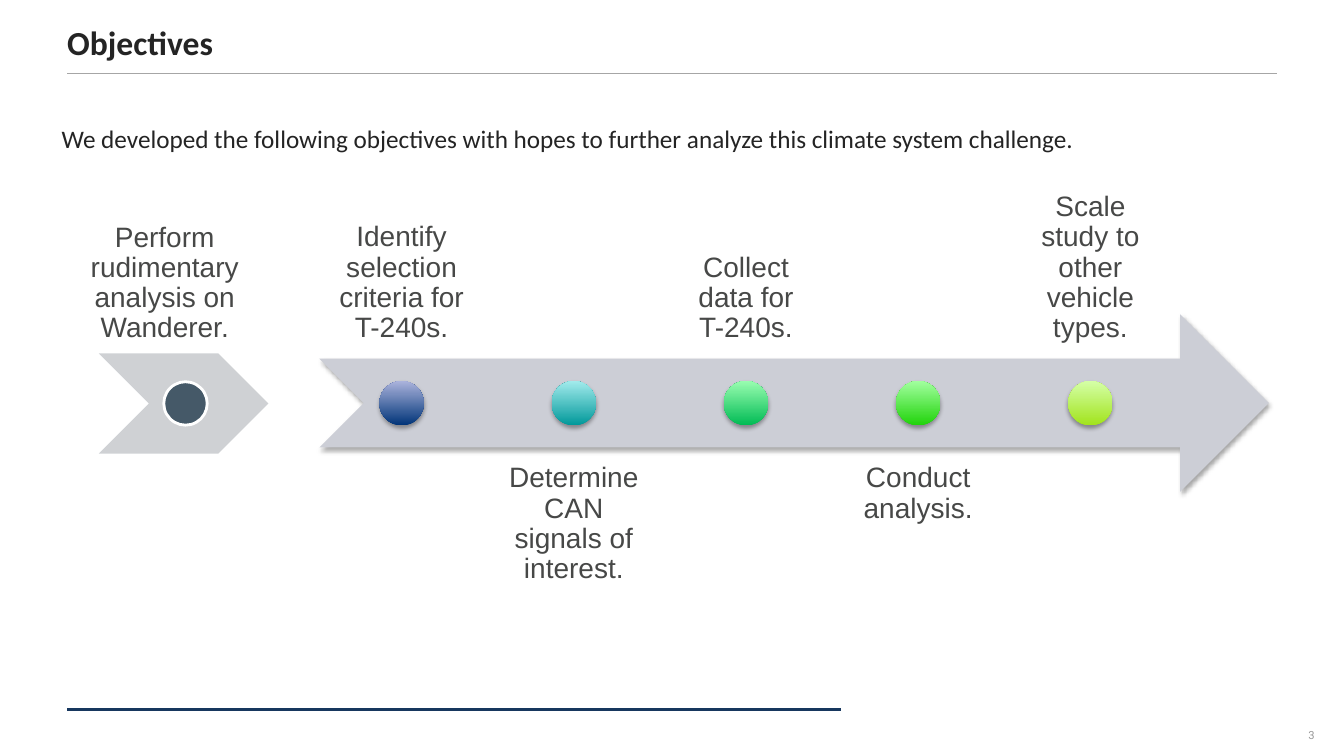
from dataclasses import dataclass

from lxml import etree
from pptx import Presentation
from pptx.dml.color import RGBColor
from pptx.enum.shapes import MSO_CONNECTOR, MSO_SHAPE
from pptx.enum.text import MSO_ANCHOR, PP_ALIGN
from pptx.oxml import parse_xml
from pptx.oxml.ns import nsdecls, qn
from pptx.util import Pt

STRAIGHT = MSO_CONNECTOR.STRAIGHT
ARROW = MSO_SHAPE.NOTCHED_RIGHT_ARROW
CHEVRON = MSO_SHAPE.CHEVRON
OVAL = MSO_SHAPE.OVAL
TOP, MIDDLE, BOTTOM = MSO_ANCHOR.TOP, MSO_ANCHOR.MIDDLE, MSO_ANCHOR.BOTTOM
LEFT, CENTER = PP_ALIGN.LEFT, PP_ALIGN.CENTER


@dataclass(frozen=True)
class TextStyle:
    font: str
    size: float
    color: str
    bold: bool = False


@dataclass(frozen=True)
class Theme:
    title = TextStyle("Calibri", 24, "242424", True)
    body = TextStyle("Calibri", 18, "242424")
    label = TextStyle("Arial", 20, "474847")
    number = TextStyle("Roboto", 8, "999999")
    title_rule = "A6A6A6"
    footer_rule = "17375E"
    arrow = "CCCED6"
    chevron = "CFD1D4"
    first_dot = "455968"
    first_dot_edge = "FFFFFF"
    shadow = "000000"


class SlideBuilder:
    def __init__(self, slide, theme):
        self.slide = slide
        self.theme = theme

    def rule(self, left, right, y, color, width):
        line = self.slide.shapes.add_connector(STRAIGHT, Pt(left), Pt(y), Pt(right), Pt(y))
        line.line.color.rgb = RGBColor.from_string(color)
        line.line.width = Pt(width)
        etree.SubElement(line._element.spPr, qn("a:effectLst"))

    def text(self, words, box, style, anchor=TOP, align=LEFT, insets=(0, 3.6, 7.2, 3.6),
             line_spacing=1.0, space_after=0):
        text_box = self.slide.shapes.add_textbox(*map(Pt, box))
        frame = text_box.text_frame
        frame.word_wrap = True
        frame.vertical_anchor = anchor
        frame.margin_left, frame.margin_top, frame.margin_right, frame.margin_bottom = map(Pt, insets)
        paragraph = frame.paragraphs[0]
        paragraph.text = words
        paragraph.alignment = align
        paragraph.line_spacing = line_spacing
        paragraph.space_after = Pt(space_after)
        font = paragraph.font
        font.name = style.font
        font.size = Pt(style.size)
        font.bold = style.bold
        font.color.rgb = RGBColor.from_string(style.color)

    def label(self, words, box, anchor):
        self.text(words, box, self.theme.label, anchor, CENTER, (11.5,) * 4, 0.9, 7)

    def shape(self, kind, box, colors, edge=None, shadow=False):
        shape = self.slide.shapes.add_shape(kind, *map(Pt, box))
        shape.shadow.inherit = False
        if len(colors) == 1:
            shape.fill.solid()
            shape.fill.fore_color.rgb = RGBColor.from_string(colors[0])
        else:
            shape.fill.gradient()
            shape.fill.gradient_angle = 90
            for stop, color in zip(shape.fill.gradient_stops, colors):
                stop.color.rgb = RGBColor.from_string(color)
        if edge:
            shape.line.color.rgb = RGBColor.from_string(edge)
            shape.line.width = Pt(2)
        else:
            shape.line.fill.background()
        if shadow:
            self.add_shadow(shape)

    def add_shadow(self, shape):
        effects = shape._element.spPr.find(qn("a:effectLst"))
        effects.append(parse_xml(
            f'<a:outerShdw {nsdecls("a")} blurRad="{Pt(3.1)}" dist="{Pt(1.8)}" '
            f'dir="5400000" rotWithShape="0"><a:srgbClr val="{self.theme.shadow}">'
            '<a:alpha val="35000"/></a:srgbClr></a:outerShdw>'))


MILESTONES = [
    ("Identify selection criteria for T-240s.", ("003478", "ABB3DC")),
    ("Determine CAN signals of interest.", ("00989A", "A2EBEC")),
    ("Collect data for T-240s.", ("00BB54", "99FDB0")),
    ("Conduct analysis.", ("20D30A", "A2FF9F")),
    ("Scale study to other vehicle types.", ("A1E31C", "D5FFA7")),
]
TIMELINE_LEFT = 228.2
MILESTONE_PITCH = 123
LABEL_WIDTH = 117.4
BAND_HEIGHT = 126.7
DOT_SIZE = 31.7


def main():
    presentation = Presentation()
    presentation.slide_width, presentation.slide_height = Pt(960), Pt(540)
    slide = presentation.slides.add_slide(presentation.slide_layouts[6])
    theme = Theme()
    builder = SlideBuilder(slide, theme)

    builder.rule(48, 912, 52.4, theme.title_rule, 1)
    builder.rule(48, 600.5, 507, theme.footer_rule, 2.25)
    builder.text("We developed the following objectives with hopes to further analyze "
                 "this climate system challenge.", (44, 84.2, 864, 420), theme.body, space_after=6)
    builder.text("Objectives", (48, 11.5, 864, 36.7), theme.title, BOTTOM)
    builder.text("3", (913.7, 510.5, 46.3, 28.8), theme.number, MIDDLE, CENTER, (0,) * 4)

    builder.shape(ARROW, (TIMELINE_LEFT, 224.6, 678.2, BAND_HEIGHT), (theme.arrow,), shadow=True)
    for index, (words, colors) in enumerate(MILESTONES):
        left = TIMELINE_LEFT + index * MILESTONE_PITCH
        top, anchor = (319.7, TOP) if index % 2 else (130.3, BOTTOM)
        builder.label(words, (left, top, LABEL_WIDTH, BAND_HEIGHT), anchor)
        dot_left = left + (LABEL_WIDTH - DOT_SIZE) / 2
        builder.shape(OVAL, (dot_left, 272.2, DOT_SIZE, DOT_SIZE), colors, shadow=True)

    builder.shape(CHEVRON, (70.6, 252.5, 121, 71.5), (theme.chevron,))
    builder.label("Perform rudimentary analysis on Wanderer.", (51.8, 132.5, 131.8, 124.6), BOTTOM)
    builder.shape(OVAL, (117, 272.7, 31, 31), (theme.first_dot,), edge=theme.first_dot_edge)

    presentation.save("out.pptx")


if __name__ == "__main__":
    main()
